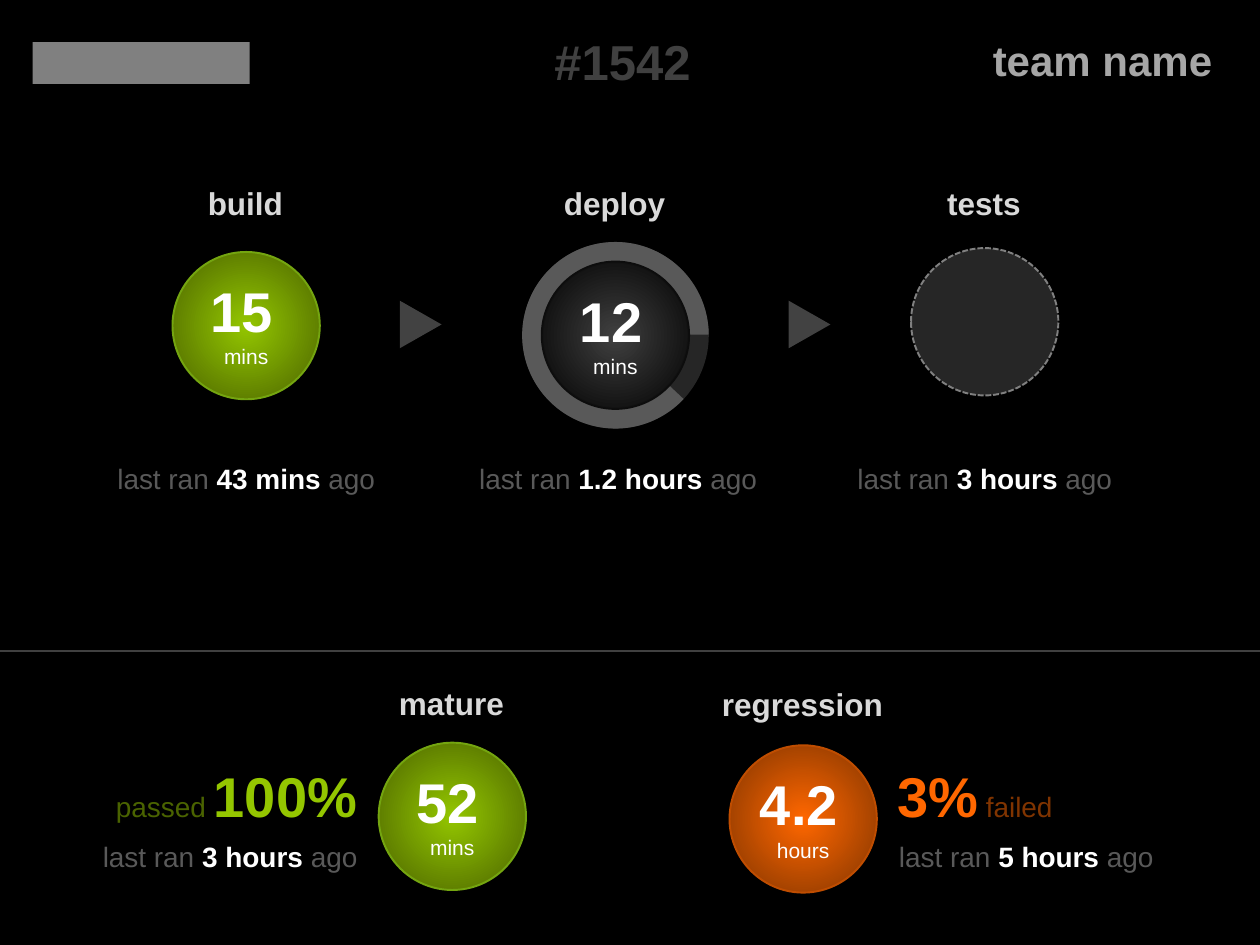
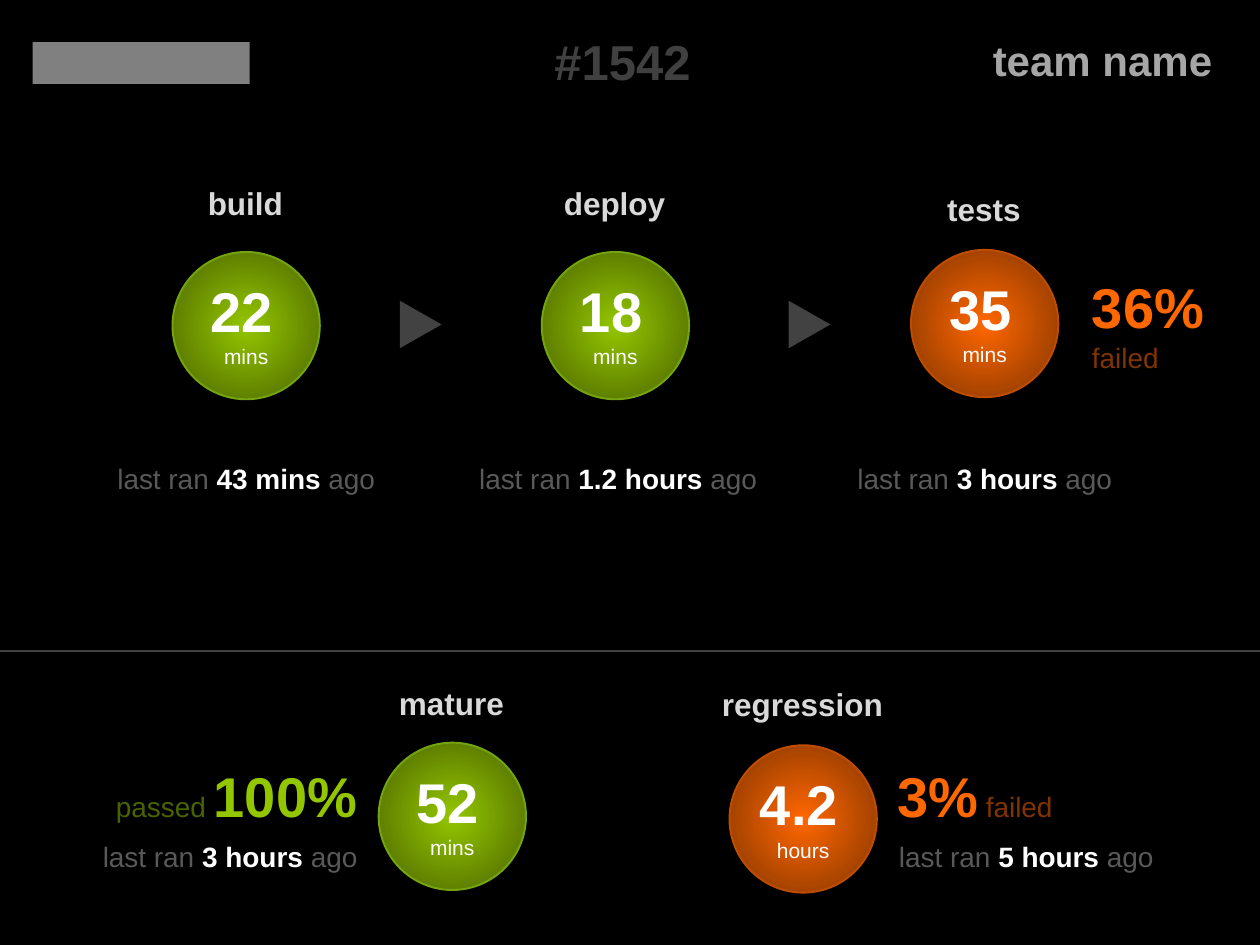
from lxml import etree
from pptx import Presentation
from pptx.dml.color import RGBColor
from pptx.enum.dml import MSO_LINE_DASH_STYLE as Dash
from pptx.enum.shapes import MSO_CONNECTOR, MSO_SHAPE as Shape
from pptx.enum.text import MSO_ANCHOR as Anchor, MSO_AUTO_SIZE as AutoSize, PP_ALIGN as Align
from pptx.oxml.ns import qn
from pptx.util import Pt

COLORS = {
    "black": "000000", "white": "FFFFFF", "badge": "808080",
    "team": "A6A6A6", "label": "D9D9D9", "muted": "595959", "dark": "404040",
    "idle": "262626", "ring": "595959", "idle_line": "808080",
    "passed": "94C600", "passed_dim": "4A6300", "passed_line": "74A510",
    "failed": "FF6700", "failed_dim": "803400", "failed_line": "BF4D00",
    "running_line": "0D0D0D",
}
GRADIENTS = {
    "passed": ("passed", "passed_dim"),
    "failed": ("failed", "failed_dim"),
    "running": ("dark", "black"),
}
FONT = "Arial"
LABEL_WIDTHS = {"build": 43, "deploy": 58, "tests": 43, "mature": 60, "regression": 93}
DIAL = 84.2
RING = 106.6
STAGE_LEFTS = {"build": 98.6, "deploy": 309.6, "tests": 520.6}
STAGE_TOP = 144
LAST_RAN_TOP = 264


def color(name):
    return RGBColor.from_string(COLORS[name])


def fill_text(frame, lines, align, wrap=True):
    frame.margin_left = frame.margin_right = frame.margin_top = frame.margin_bottom = 0
    frame.word_wrap = wrap
    frame.auto_size = AutoSize.NONE
    frame.vertical_anchor = Anchor.TOP
    for index, runs in enumerate(lines):
        paragraph = frame.add_paragraph() if index else frame.paragraphs[0]
        paragraph.alignment = align
        paragraph.font.name = FONT
        for text, size, color_name, bold in runs:
            run = paragraph.add_run()
            run.text = text
            font = paragraph.font if len(runs) == 1 else run.font
            font.size, font.bold = Pt(size), bold
            font.color.rgb = color(color_name)


def add_text(slide, box, lines, align=Align.CENTER, wrap=True):
    text_box = slide.shapes.add_textbox(*map(Pt, box))
    fill_text(text_box.text_frame, lines, align, wrap)


def add_shape(slide, kind, box, fill_name):
    shape = slide.shapes.add_shape(kind, *map(Pt, box))
    shape.shadow.inherit = False
    shape.line.fill.background()
    shape.fill.solid()
    shape.fill.fore_color.rgb = color(fill_name)
    return shape


def apply_radial_fill(shape, stops):
    shape.fill.gradient()
    for stop, name in zip(shape.fill.gradient_stops, stops):
        stop.color.rgb = color(name)
    gradient = shape._element.spPr.find(qn("a:gradFill"))
    gradient.remove(gradient.find(qn("a:lin")))
    radial = etree.SubElement(gradient, qn("a:path"), {"path": "circle"})
    etree.SubElement(radial, qn("a:fillToRect"), dict.fromkeys("ltrb", "50000"))


def add_progress_ring(slide, left, top):
    inset = (RING - DIAL) / 2
    box = (left - inset, top - inset, RING, RING)
    add_shape(slide, Shape.OVAL, box, "idle")
    arc = add_shape(slide, Shape.BLOCK_ARC, box, "ring")
    arc.rotation = 30.2
    for index, value in enumerate((7.74, 197.61, 0.12)):
        arc.adjustments[index] = value


def add_dial(slide, left, top, label, label_gap, state, value=None, unit=None):
    if state == "running":
        add_progress_ring(slide, left, top)
    circle = add_shape(slide, Shape.OVAL, (left, top, DIAL, DIAL), "idle")
    circle.line.color.rgb = color(f"{state}_line")
    circle.line.width = Pt(1.1)
    if state == "idle":
        circle.line.dash_style = Dash.SQUARE_DOT
    else:
        apply_radial_fill(circle, GRADIENTS[state])

    width = LABEL_WIDTHS[label]
    add_text(slide, (left + (DIAL - width) / 2 - 0.5, top - label_gap, width, 21.6),
             [[(label, 18, "label", True)]], wrap=False)
    if value:
        add_text(slide, (left + 15, top + 14, DIAL - 30, 56.2),
                 [[(value, 32, "white", True), (" ", 18, "white", True)],
                  [(unit, 12, "white", False)]])


def add_last_ran(slide, left, top, width, duration, align=Align.CENTER):
    add_text(slide, (left, top, width, 19.4),
             [[("last ran ", 16, "muted", False), (f"{duration} ", 16, "white", True),
               ("ago", 16, "muted", False)]], align, wrap=False)


def add_header(slide):
    add_shape(slide, Shape.RECTANGLE, (18.7, 24, 124, 24), "badge")
    title = slide.shapes.title
    title.left, title.top, title.width, title.height = map(Pt, (304.6, 18, 102.2, 33.1))
    fill_text(title.text_frame, [[("#1542", 28, "dark", True)]], Align.CENTER)
    add_text(slide, (506.2, 19.8, 186.5, 28.8),
             [[("team name", 24, "team", True)]], Align.RIGHT)


def add_pipeline(slide, stages):
    for left in (226.8, 449):
        arrow = add_shape(slide, Shape.FLOWCHART_EXTRACT, (left, 173.5, 27.2, 23.9), "white")
        arrow.rotation = 90
        white = arrow._element.spPr.find(qn("a:solidFill"))[0]
        etree.SubElement(white, qn("a:alpha"), {"val": "26000"})
    for label, drop, label_gap, *status in stages:
        add_dial(slide, STAGE_LEFTS[label], STAGE_TOP + drop, label, label_gap, *status)
    for left, width, duration in ((66.2, 149, "43 mins"), (272.9, 160.6, "1.2 hours"),
                                  (488.9, 147.6, "3 hours")):
        add_last_ran(slide, left, LAST_RAN_TOP, width, duration)


def add_suites(slide, top):
    divider = slide.shapes.add_connector(MSO_CONNECTOR.STRAIGHT, 0, Pt(top), Pt(720), Pt(top))
    divider.line.color.rgb = color("dark")
    divider.line.width = Pt(0.75)
    etree.SubElement(divider._element.spPr, qn("a:effectLst"))

    add_dial(slide, 216.4, top + 52.4, "mature", 33.8, "passed", "52", "mins")
    add_dial(slide, 416.9, top + 53.9, "regression", 34.5, "failed", "4.2", "hours")
    add_text(slide, (43.5, top + 63, 160.6, 38.9),
             [[("passed ", 16, "passed_dim", False), ("100%", 32, "passed", True)]], Align.RIGHT)
    add_text(slide, (512.6, top + 63, 128.9, 38.9),
             [[("3%", 32, "failed", True), (" failed", 16, "failed_dim", False)]], Align.LEFT)
    add_last_ran(slide, 56.6, top + 107.8, 147.6, "3 hours", Align.RIGHT)
    add_last_ran(slide, 512.6, top + 107.8, 147.6, "5 hours")


def add_dashboard(presentation, stages):
    slide = presentation.slides.add_slide(presentation.slide_layouts[5])
    add_header(slide)
    add_pipeline(slide, stages)
    add_suites(slide, 372)
    return slide


def main():
    presentation = Presentation()
    presentation.slide_width, presentation.slide_height = Pt(720), Pt(540)
    background = presentation.slide_master.background.fill
    background.solid()
    background.fore_color.rgb = color("black")

    add_dashboard(presentation, [
        ("build", 0, 38.9, "passed", "15", "mins"),
        ("deploy", 5.5, 44.4, "running", "12", "mins"),
        ("tests", -2.2, 36.7, "idle"),
    ])
    finished = add_dashboard(presentation, [
        ("build", 0, 38.9, "passed", "22", "mins"),
        ("deploy", 0, 38.9, "passed", "18", "mins"),
        ("tests", -1.2, 34.1, "failed", "35", "mins"),
    ])
    add_text(finished, (624, 156, 77.8, 58.3),
             [[("36%", 32, "failed", True)], [("failed", 16, "failed_dim", False)]], Align.LEFT)
    presentation.save("out.pptx")


if __name__ == "__main__":
    main()
